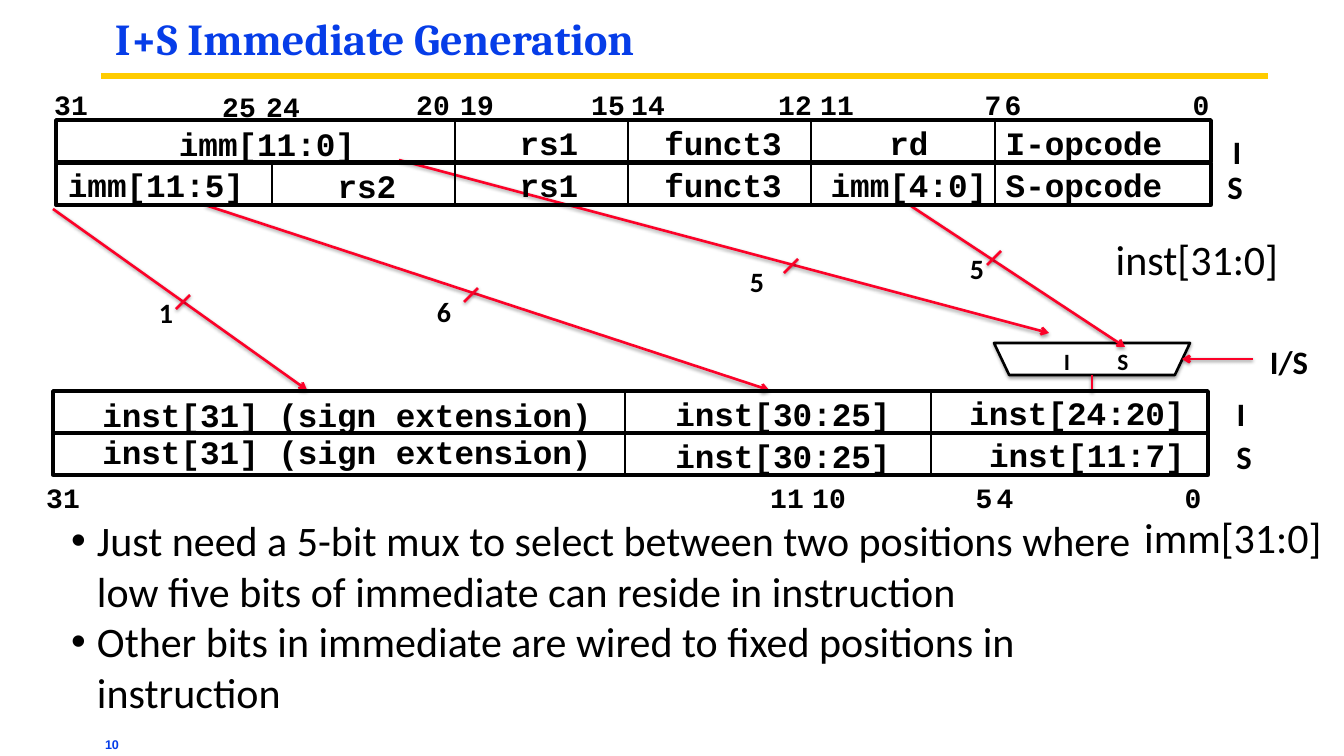
from lxml import etree
from pptx import Presentation, util as u
from pptx.dml.color import RGBColor
from pptx.enum import shapes, text
from pptx.oxml.ns import qn

BLACK = RGBColor(0, 0, 0)
WHITE = RGBColor(0xFF, 0xFF, 0xFF)
BLUE = RGBColor(0x06, 0x3D, 0xE8)
GOLD = RGBColor(0xFF, 0xCC, 0x00)
RED = RGBColor(0xFC, 0x01, 0x28)
MONO, SANS = "Courier New", "Calibri"

TITLE = "I+S Immediate Generation"
NUMBER = "10"
BULLETS = [
    "Just need a 5-bit mux to select between two positions where "
    "low five bits of immediate can reside in instruction",
    "Other bits in immediate are wired to fixed positions in instruction",
]

# Instruction words: left, top, dividers, fields as (text, centre, text top)
WORDS = [
    (56, 163, [272, 455, 628, 811, 995],
     [("imm[11:5]", 156, 165), ("rs2", 367, 166), ("rs1", 549, 165),
      ("funct3", 723, 165), ("imm[4:0]", 909, 165), ("S-opcode", 1084, 165)]),
    (56, 120, [455, 628, 811, 995],
     [("imm[11:0]", 267, 124), ("rs1", 549, 123), ("funct3", 723, 123),
      ("rd", 909, 123), ("I-opcode", 1084, 123)]),
    (53, 391, [625, 931],
     [("inst[31] (sign extension)", 347, 395), ("inst[30:25]", 783, 394),
      ("inst[24:20]", 1077, 393)]),
    (53, 433, [625, 931],
     [("inst[31] (sign extension)", 347, 432), ("inst[30:25]", 783, 436),
      ("inst[11:7]", 1087, 435)]),
]
WORD_W, WORD_H = 1155, 42

# Bit numbers: text top, then (text, centre)
BITS = [
    (88, [("31", 71), ("20", 433), ("19", 477), ("15", 608), ("14", 648),
          ("12", 795), ("11", 837), ("7", 993), ("6", 1013), ("0", 1201)]),
    (90, [("25", 239), ("24", 283)]),
    (481, [("31", 63), ("11", 787), ("10", 829), ("5", 984), ("4", 1005),
           ("0", 1193)]),
]

# Labels: text, centre, top, size, bold
LABELS = [
    ("I", 1067, 347, 20, True), ("S", 1123, 347, 20, True),
    ("1", 166, 296, 24, True), ("6", 444, 295, 24, True),
    ("5", 757, 265, 24, True), ("5", 977, 252, 24, True),
    ("I", 1237, 132, 28, True), ("S", 1235, 167, 28, True),
    ("I", 1241, 394, 28, True), ("S", 1244, 437, 28, True),
    ("I/S", 1289, 342, 28, True),
    ("inst[31:0]", 1197, 234, 36, False),
    ("imm[31:0]", 1233, 512, 36, False),
]

MUX = (994, 343, 196, 32)
STUB = (1092, 375, 1092, 392)
ARROWS = [
    (205, 205, 769, 390), (399, 160, 1049, 333), (911, 206, 1125, 347),
    (53, 209, 307, 390), (1253, 359, 1182, 359),
]
TICKS = [(176, 309), (464, 302), (784, 273), (987, 265)]
TICK = 14


def px(n):
    return u.Emu(round(n * 914400 / 84))


def sub(node, tag, **attrs):
    return etree.SubElement(node, qn(tag), attrs)


def effect(shape, shadow):
    """Give the shape a soft drop shadow, or none at all."""
    box = sub(shape._element.spPr, "a:effectLst")
    if shadow:
        drop = sub(box, "a:outerShdw", blurRad=str(u.Pt(3.1)),
                   dist=str(u.Pt(1.6)), dir="5400000", rotWithShape="0")
        sub(sub(drop, "a:srgbClr", val="000000"), "a:alpha", val="38000")


def line(ends, color, width, shadow=False, arrow=False):
    wire = slide.shapes.add_connector(
        shapes.MSO_CONNECTOR.STRAIGHT, *map(px, ends))
    wire.line.color.rgb = color
    wire.line.width = u.Pt(width)
    if arrow:
        sub(wire.line._get_or_add_ln(), "a:tailEnd", type="arrow")
    effect(wire, shadow)


def block(kind, box, width):
    shape = slide.shapes.add_shape(kind, *map(px, box))
    shape.line.color.rgb = BLACK
    shape.line.width = u.Pt(width)
    return shape


def write(lines, box, font, size, bold=False, color=BLACK):
    """Add a text box without margins and return its paragraphs."""
    frame = slide.shapes.add_textbox(*map(px, box)).text_frame
    frame.margin_left = frame.margin_right = 0
    frame.margin_top = frame.margin_bottom = 0
    frame.word_wrap = True
    frame.text = "\n".join(lines)
    for para in frame.paragraphs:
        para.font.name = font
        para.font.size = u.Pt(size)
        para.font.bold = bold
        para.font.color.rgb = color
    return frame.paragraphs


def label(words, mid, top, size, bold=True, font=SANS):
    """Centre one line of text on mid, in a box with room to spare."""
    wide = (len(words) + 1) * size * 0.75
    para, = write([words], (mid - wide / 2, top, wide, size * 1.4),
                  font, size, bold)
    para.alignment = text.PP_ALIGN.CENTER


deck = Presentation()
deck.slide_width, deck.slide_height = u.Inches(16), u.Inches(9)
slide = deck.slides.add_slide(deck.slide_layouts[6])

write([NUMBER], (105, 737, 728, 15), "Arial", 10.8, True, BLUE)
line((101, 76, 1268, 76), GOLD, 4.5)
head, = write([TITLE], (115, 19, 845, 55), "Cambria", 37.8, True, BLUE)
head.line_spacing = 0.87

mux = block(shapes.MSO_SHAPE.TRAPEZOID, MUX, 2.25)
mux.rotation = 180
mux.adjustments[0] = 0.475
mux.fill.solid()
mux.fill.fore_color.rgb = WHITE
effect(mux, True)

line(STUB, RED, 2.25, shadow=True)
for ends in ARROWS:
    line(ends, RED, 2.25, shadow=True, arrow=True)
for x, y in TICKS:
    line((x, y, x + TICK, y - TICK), RED, 2.25, shadow=True)

for left, top, splits, fields in WORDS:
    frame = block(shapes.MSO_SHAPE.RECTANGLE, (left, top, WORD_W, WORD_H), 3)
    frame.fill.background()
    frame.shadow.inherit = False
    for x in splits:
        line((x, top, x, top + WORD_H), BLACK, 2.25)
    for words, mid, y in fields:
        label(words, mid, y, 28, font=MONO)

for top, marks in BITS:
    for mark, mid in marks:
        label(mark, mid, top, 24, font=MONO)
for item in LABELS:
    label(*item)

for para in write(BULLETS, (71, 515, 1122, 203), SANS, 36):
    props = para._p.get_or_add_pPr()
    props.set("marL", str(px(26)))
    props.set("indent", str(-px(26)))
    props.insert(0, etree.Element(qn("a:buFont"), typeface="Arial"))
    props.insert(1, etree.Element(qn("a:buChar"), char="•"))

deck.save("out.pptx")
